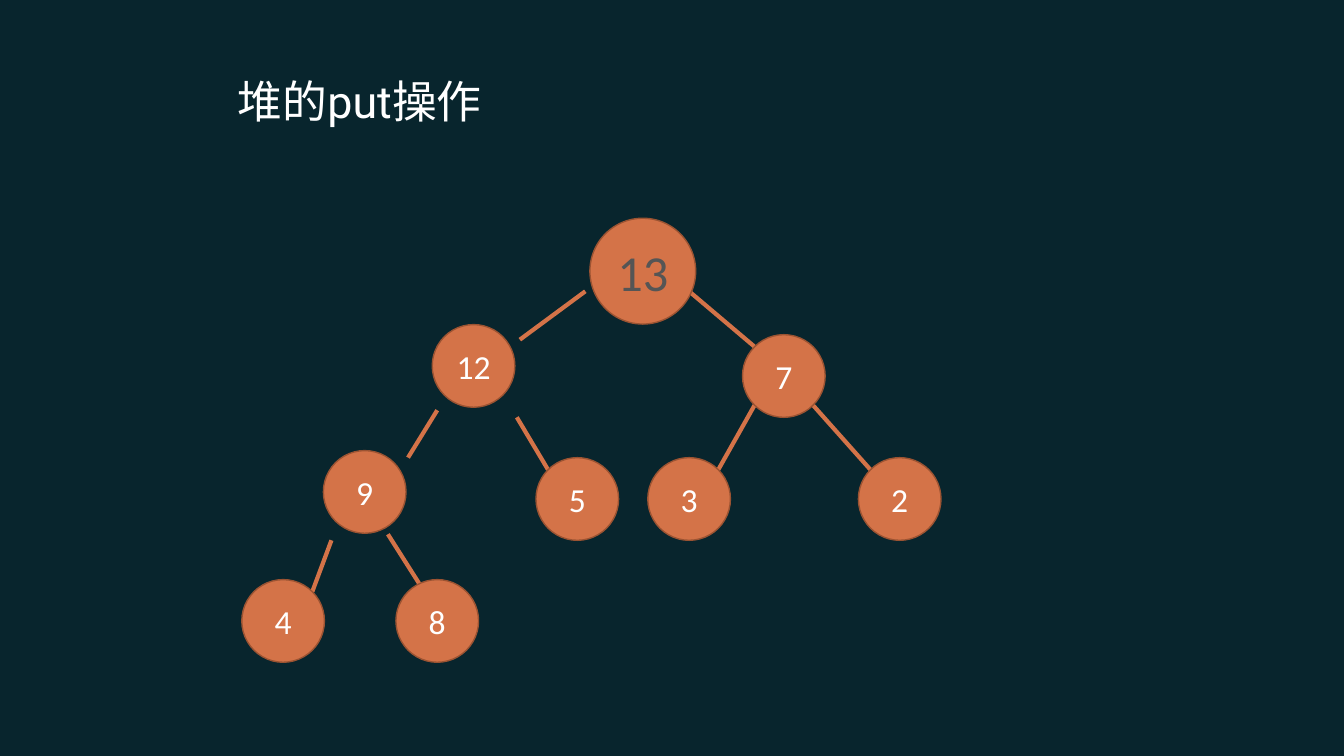
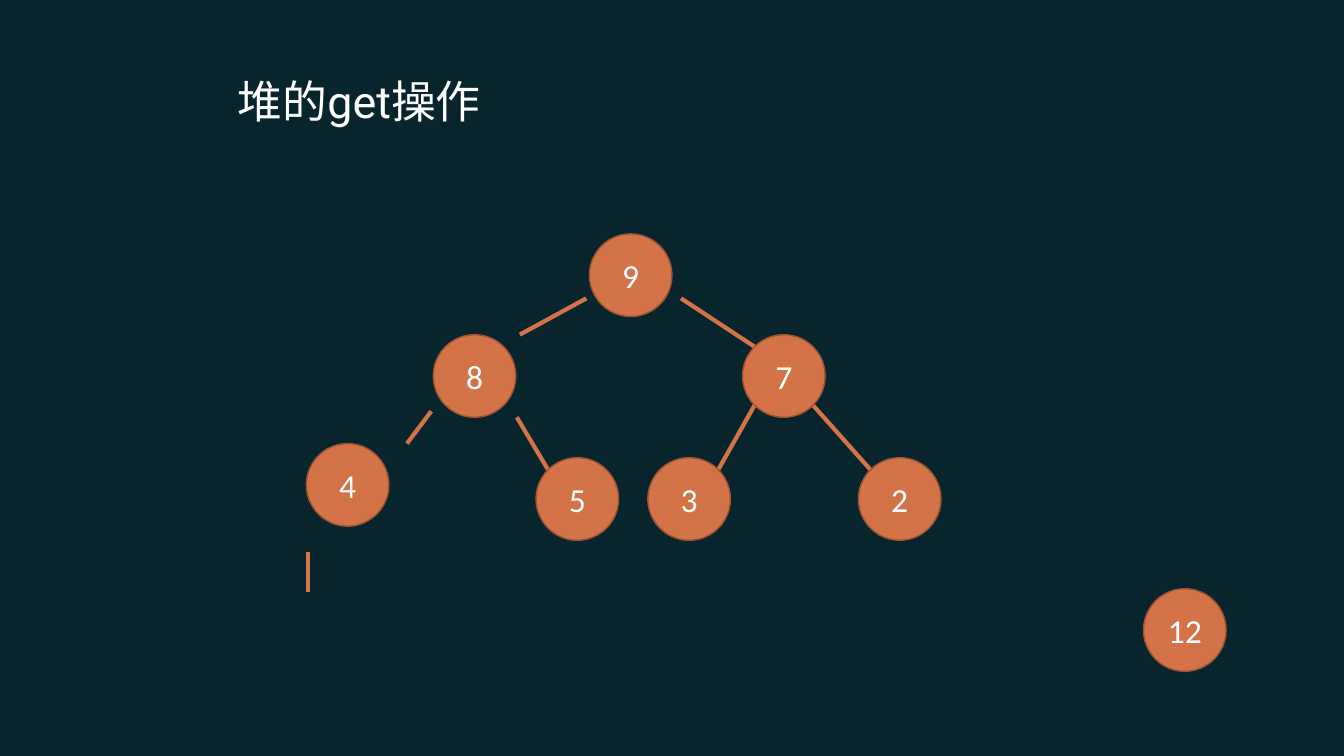
from dataclasses import dataclass
from math import sqrt
from typing import NamedTuple, Union

from lxml import etree
from pptx import Presentation
from pptx import util as u
from pptx.dml.color import RGBColor
from pptx.enum import shapes, text
from pptx.oxml import ns

SLIDE_WIDTH, SLIDE_HEIGHT = u.Inches(13.34), u.Inches(7.5)
COLUMNS, ROWS = 133.4, 75


@dataclass(frozen=True)
class Theme:
    background: RGBColor = RGBColor.from_string("08252D")
    accent: RGBColor = RGBColor.from_string("D47348")
    outline: RGBColor = RGBColor.from_string("9B5332")
    light: RGBColor = RGBColor.from_string("FFFFFF")
    muted: RGBColor = RGBColor.from_string("555555")
    title_font: str = "Roboto"
    node_font: str = "Calibri"
    title_size: int = 32
    node_size: int = 24
    new_node_size: int = 36
    outline_width: int = 1
    edge_width: int = 3


THEME = Theme()


class Point(NamedTuple):
    column: float
    row: float


class Port(NamedTuple):
    """Diagonal point on a node's rim; right and down are -1 or 1."""
    key: str
    right: int
    down: int


@dataclass(frozen=True)
class Node:
    key: str
    center: Point
    diameter: float = 8.2
    size: int = THEME.node_size
    color: RGBColor = THEME.light


class Edge(NamedTuple):
    start: Union[Point, Port]
    end: Union[Point, Port]


@dataclass(frozen=True)
class Heap:
    title: str
    nodes: list[Node]
    edges: list[Edge]


SHARED_NODES = [
    Node("7", Point(77.8, 37.3)),
    Node("5", Point(57.3, 49.5)),
    Node("3", Point(68.4, 49.5)),
    Node("2", Point(89.3, 49.5)),
]
SHARED_EDGES = [
    Edge(Point(51.3, 41.4), Port("5", -1, -1)),
    Edge(Port("7", -1, 1), Port("3", 1, -1)),
    Edge(Port("7", 1, 1), Port("2", -1, -1)),
]
HEAPS = [
    Heap(
        "堆的put操作",
        [
            Node("12", Point(47, 36.3)),
            Node("9", Point(36.2, 48.8)),
            Node("8", Point(43.4, 61.6)),
            Node("4", Point(28.1, 61.6)),
            Node("13", Point(63.8, 26.9), 10.5, THEME.new_node_size, THEME.muted),
        ],
        [
            Edge(Point(58.1, 28.9), Point(51.6, 33.7)),
            Edge(Point(68.4, 28.9), Port("7", -1, -1)),
            Edge(Point(43.4, 40.7), Point(40.5, 45.4)),
            Edge(Point(32.9, 53.6), Port("4", 1, -1)),
            Edge(Point(38.5, 53), Point(42.5, 59.3)),
        ],
    ),
    Heap(
        "堆的get操作",
        [
            Node("12", Point(117.6, 62.5)),
            Node("9", Point(62.6, 27.3)),
            Node("8", Point(47.1, 37.3)),
            Node("4", Point(34.5, 48.1)),
        ],
        [
            Edge(Point(58.2, 29.6), Point(51.6, 33.2)),
            Edge(Point(67.6, 29.6), Port("7", -1, -1)),
            Edge(Point(42.8, 40.8), Point(40.4, 44)),
            Edge(Point(30.6, 54.8), Point(30.6, 58.7)),
        ],
    ),
]


def x(columns: float) -> int:
    return round(SLIDE_WIDTH * columns / COLUMNS)


def y(rows: float) -> int:
    return round(SLIDE_HEIGHT * rows / ROWS)


def format_text(frame, font_name: str, size: int, color: RGBColor, alignment) -> None:
    frame.vertical_anchor = text.MSO_ANCHOR.MIDDLE
    paragraph = frame.paragraphs[0]
    paragraph.alignment = alignment
    for run in paragraph.runs:
        run.font.name = font_name
        run.font.size = u.Pt(size)
        run.font.color.rgb = color


def add_title(slide, wording: str) -> None:
    title = slide.shapes.title
    title.left, title.top, title.width, title.height = x(22.6), y(6), x(79.5), y(7.9)
    title.text_frame.text = wording
    format_text(title.text_frame, THEME.title_font, THEME.title_size,
                THEME.light, text.PP_ALIGN.LEFT)


def add_node(slide, node: Node) -> None:
    radius = node.diameter / 2
    circle = slide.shapes.add_shape(
        shapes.MSO_SHAPE.OVAL,
        x(node.center.column - radius), y(node.center.row - radius),
        x(node.diameter), y(node.diameter))
    circle.shadow.inherit = False
    circle.fill.solid()
    circle.fill.fore_color.rgb = THEME.accent
    circle.line.color.rgb = THEME.outline
    circle.line.width = u.Pt(THEME.outline_width)
    circle.text_frame.text = node.key
    format_text(circle.text_frame, THEME.node_font, node.size,
                node.color, text.PP_ALIGN.CENTER)


def locate(end: Union[Point, Port], nodes: dict[str, Node]) -> Point:
    if isinstance(end, Point):
        return end
    node = nodes[end.key]
    offset = node.diameter / 2 / sqrt(2)
    return Point(node.center.column + end.right * offset,
                 node.center.row + end.down * offset)


def add_edge(slide, edge: Edge, nodes: dict[str, Node]) -> None:
    start, end = (locate(point, nodes) for point in edge)
    line = slide.shapes.add_connector(
        shapes.MSO_CONNECTOR.STRAIGHT,
        x(start.column), y(start.row), x(end.column), y(end.row))
    line.line.color.rgb = THEME.accent
    line.line.width = u.Pt(THEME.edge_width)
    etree.SubElement(line._element.spPr, ns.qn("a:effectLst"))


def add_heap_slide(deck, heap: Heap) -> None:
    slide = deck.slides.add_slide(deck.slide_layouts.get_by_name("Title Only"))
    add_title(slide, heap.title)
    nodes = {node.key: node for node in SHARED_NODES + heap.nodes}
    for edge in SHARED_EDGES + heap.edges:
        add_edge(slide, edge, nodes)
    for node in nodes.values():
        add_node(slide, node)


def main() -> None:
    deck = Presentation()
    deck.slide_width, deck.slide_height = SLIDE_WIDTH, SLIDE_HEIGHT
    backdrop = deck.slide_master.background.fill
    backdrop.solid()
    backdrop.fore_color.rgb = THEME.background
    for heap in HEAPS:
        add_heap_slide(deck, heap)
    deck.save("out.pptx")


if __name__ == "__main__":
    main()
